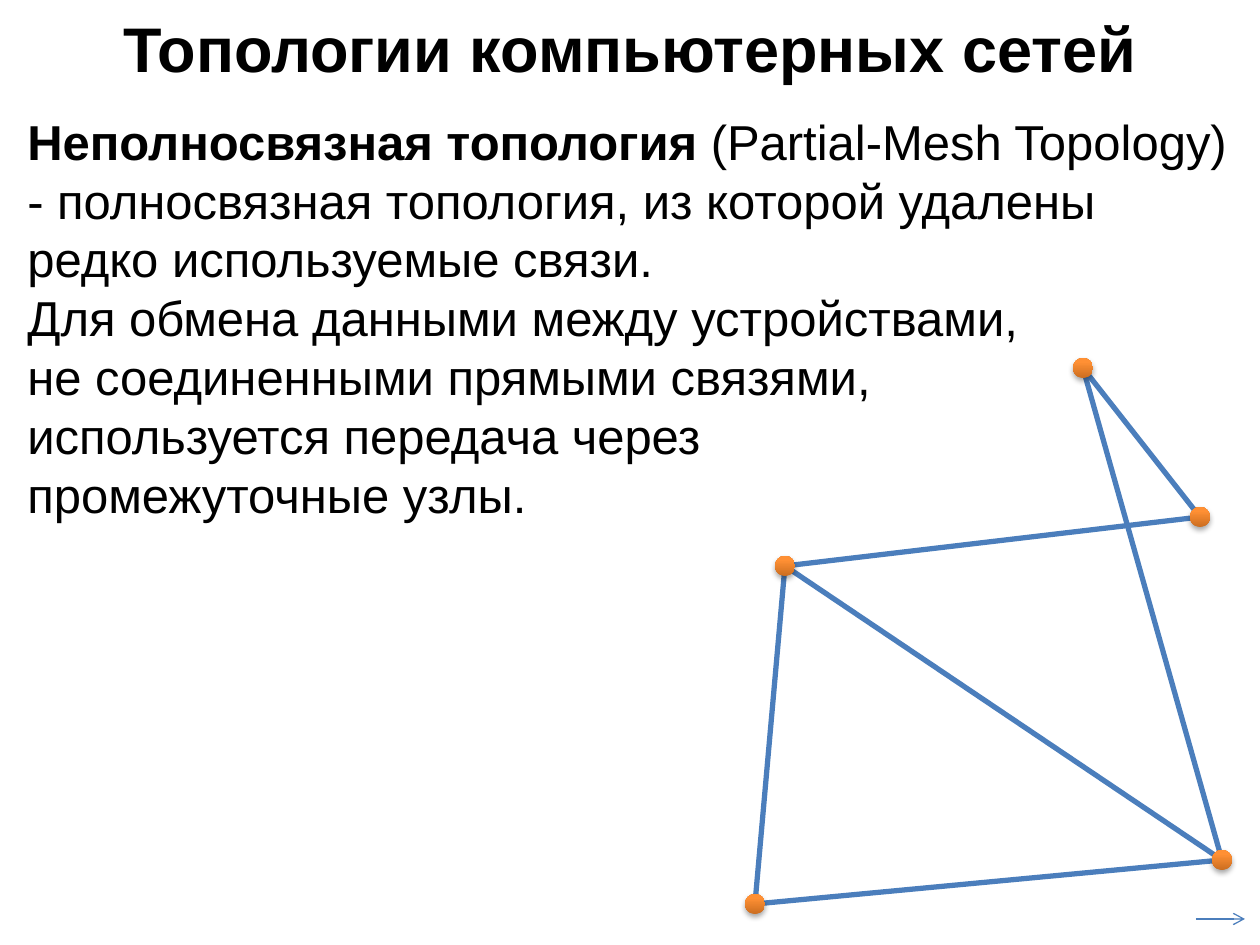
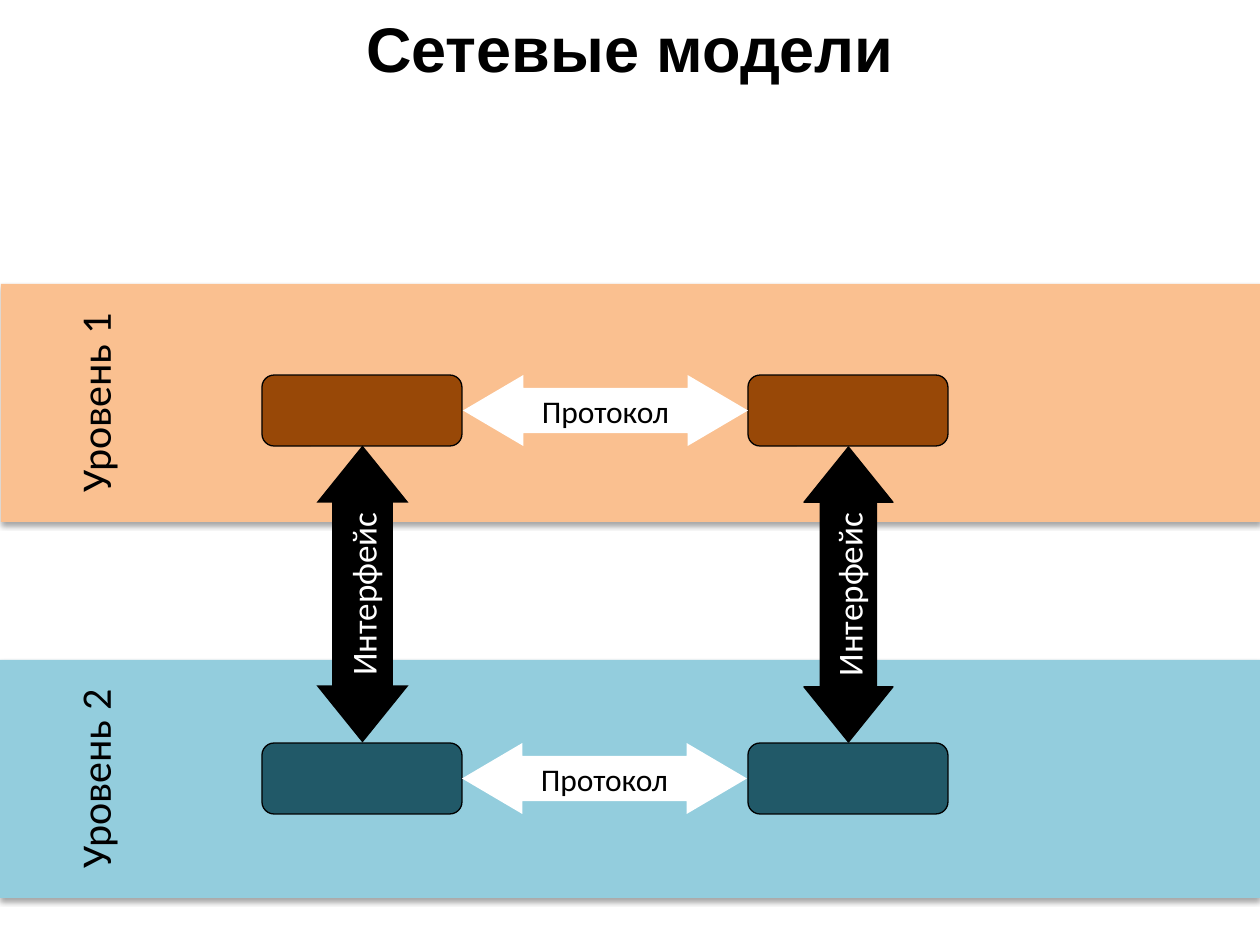
from lxml.etree import SubElement
from pptx import Presentation
from pptx.dml.color import RGBColor
from pptx.enum.shapes import MSO_CONNECTOR as Link, MSO_SHAPE as Kind
from pptx.enum.text import MSO_ANCHOR as Anchor, MSO_AUTO_SIZE as Fit, PP_ALIGN as Align
from pptx.oxml.ns import qn
from pptx.util import Pt

PX = 914400 / 126
BLACK, WHITE, BLUE = "000000", "FFFFFF", "4B7EBC"
DARK, LIGHT = "CC6E20", "FF9034"


def emu(*vals):
    return [round(v * PX) for v in vals]


def rgb(code):
    return RGBColor.from_string(code)


class Deck:
    """Holds the shared style and the current slide."""
    head = dict(name="Arial", size=Pt(36), bold=True)
    body = dict(name="Arial", size=Pt(28))

    def __init__(self):
        self.prs = Presentation()
        self.prs.slide_width, self.prs.slide_height = emu(1260, 945)

    def slide(self, title):
        slide = self.prs.slides.add_slide(self.prs.slide_layouts[5])
        self.root = self.shapes = slide.shapes
        box = self.root.title
        box.left, box.top, box.width, box.height = emu(15, 0, 1230, 95)
        frame = box.text_frame
        frame.auto_size, frame.vertical_anchor = Fit.NONE, Anchor.MIDDLE
        para = frame.paragraphs[0]
        para.alignment = Align.CENTER
        self.run(para, title, self.head)

    def group(self):
        """Send the next elements into a new group."""
        self.shapes = self.root.add_group_shape().shapes

    def ungroup(self):
        self.shapes = self.root

    def run(self, para, text, style, color=BLACK, **more):
        run = para.add_run()
        run.text = text
        for key, val in {**style, **more}.items():
            setattr(run.font, key, val)
        run.font.color.rgb = rgb(color)

    def text(self, rect, paras):
        """Each paragraph is a list of (text, bold) pairs."""
        frame = self.shapes.add_textbox(*emu(*rect)).text_frame
        frame.word_wrap, frame.auto_size = True, Fit.SHAPE_TO_FIT_TEXT
        for i, runs in enumerate(paras):
            para = frame.add_paragraph() if i else frame.paragraphs[0]
            for text, bold in runs:
                self.run(para, text, self.body, bold=bold)

    def line(self, start, end, width, arrow=False):
        line = self.shapes.add_connector(Link.STRAIGHT, *emu(*start, *end))
        line.line.color.rgb, line.line.width = rgb(BLUE), Pt(width)
        if arrow:
            SubElement(line.line._get_or_add_ln(), qn("a:tailEnd"), type="arrow")
        SubElement(line._element.spPr, qn("a:effectLst"))

    def shape(self, kind, rect, fill=None, edge=None, adj=(), turn=0):
        shape = self.shapes.add_shape(kind, *emu(*rect))
        shape.shadow.inherit = False
        shape.rotation = turn
        for i, val in enumerate(adj):
            shape.adjustments[i] = val
        if fill:
            shape.fill.solid()
            shape.fill.fore_color.rgb = rgb(fill)
        else:
            shape.fill.background()
        if edge:
            shape.line.color.rgb, shape.line.width = rgb(edge), Pt(0.75)
        else:
            shape.line.fill.background()
        return shape

    def label(self, shape, text, size, color=BLACK):
        frame = shape.text_frame
        frame.word_wrap, frame.vertical_anchor = False, Anchor.MIDDLE
        para = frame.paragraphs[0]
        para.alignment = Align.CENTER
        self.run(para, text, dict(name="Calibri", size=Pt(size)), color)

    def shade(self, shape):
        """Drop a soft shadow below the shape."""
        glow = shape._element.spPr.find(qn("a:effectLst"))
        drop = SubElement(glow, qn("a:outerShdw"), blurRad="40000", dist="23000",
                          dir="5400000", rotWithShape="0")
        tint = SubElement(drop, qn("a:srgbClr"), val=BLACK)
        SubElement(tint, qn("a:alpha"), val="35000")

    def node(self, x, y):
        dot = self.shape(Kind.OVAL, (x - 10, y - 10, 20, 20))
        dot.fill.gradient()
        dot.fill.gradient_angle = 90
        for stop, (spot, code) in zip(dot.fill.gradient_stops, ((0, DARK), (0.8, LIGHT))):
            stop.position, stop.color.rgb = spot, rgb(code)
        self.shade(dot)

    def band(self, rect, fill):
        self.shade(self.shape(Kind.RECTANGLE, rect, fill))


def mesh(deck):
    deck.slide("Топологии компьютерных сетей")
    deck.line((1196, 919), (1245, 919), 0.75, arrow=True)
    nodes = dict(top=(1083, 368), left=(785, 566), right=(1200, 517),
                 low=(755, 904), end=(1222, 860))
    links = ("top right", "low left", "low end", "top end", "right left", "end left")
    deck.group()
    for pair in links:
        start, end = pair.split()
        deck.line(nodes[start], nodes[end], 3)
    for spot in nodes.values():
        deck.node(*spot)
    deck.ungroup()
    deck.text((15, 105, 1230, 428), [
        [("Неполносвязная топология ", True),
         ("(Partial-Mesh Topology) - полносвязная топология, "
          "из которой удалены редко используемые связи.", False)],
        [("Для обмена данными между устройствами,", False)],
        [("не соединенными прямыми связями,", False)],
        [("используется передача через", False)],
        [("промежуточные узлы.", False)]])


def model(deck):
    deck.slide("Сетевые модели")
    # name, band left and top, box top, arrow left, band and box fills
    tiers = (("Уровень 1", 1, 284, 375, 463, "FAC090", "984807"),
             ("Уровень 2", 0, 660, 743, 462, "93CDDD", "215968"))
    for name, left, top, row, gap, pale, deep in tiers:
        deck.band((left, top, 1260, 238), pale)
        tag = deck.shape(Kind.ROUNDED_RECTANGLE, (-25, top + 82, 238, 74), turn=270)
        deck.label(tag, name, 24)
        for x in (262, 748):
            deck.shape(Kind.ROUNDED_RECTANGLE, (x, row, 200, 71), deep, BLACK, [0.17])
        arrow = deck.shape(Kind.LEFT_RIGHT_ARROW, (gap, row, 285, 71), WHITE,
                           adj=(0.64, 0.85))
        deck.label(arrow, "Протокол", 18)
    for rect, neck, edge in (((214, 548, 297, 92), 0.66, None),
                             ((701, 550, 295, 89), 0.63, BLACK)):
        arrow = deck.shape(Kind.LEFT_RIGHT_ARROW, rect, BLACK, edge, (neck, 0.62), 270)
        deck.label(arrow, "Интерфейс", 20, WHITE)


def main():
    deck = Deck()
    mesh(deck)
    model(deck)
    deck.prs.save("out.pptx")


if __name__ == "__main__":
    main()
